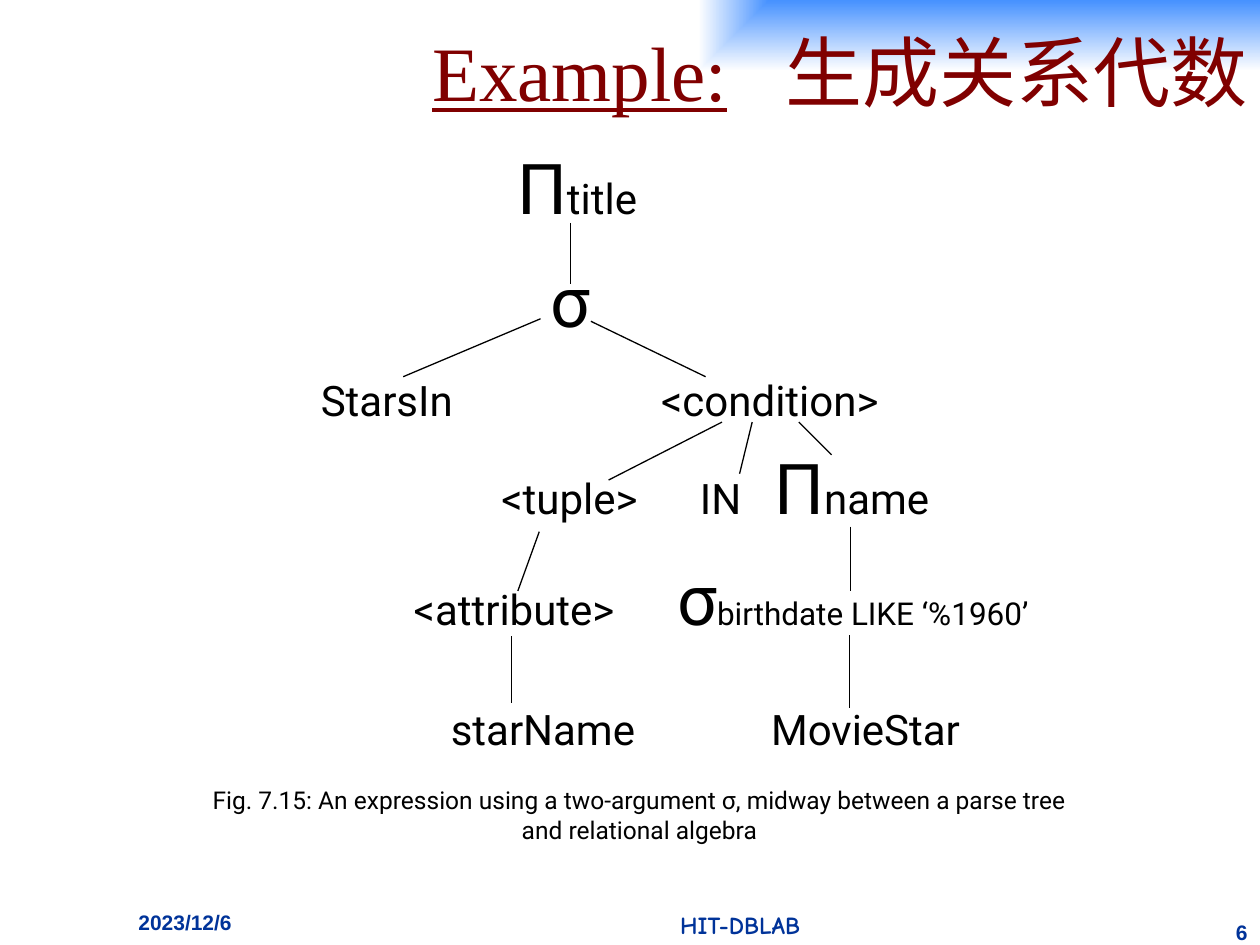
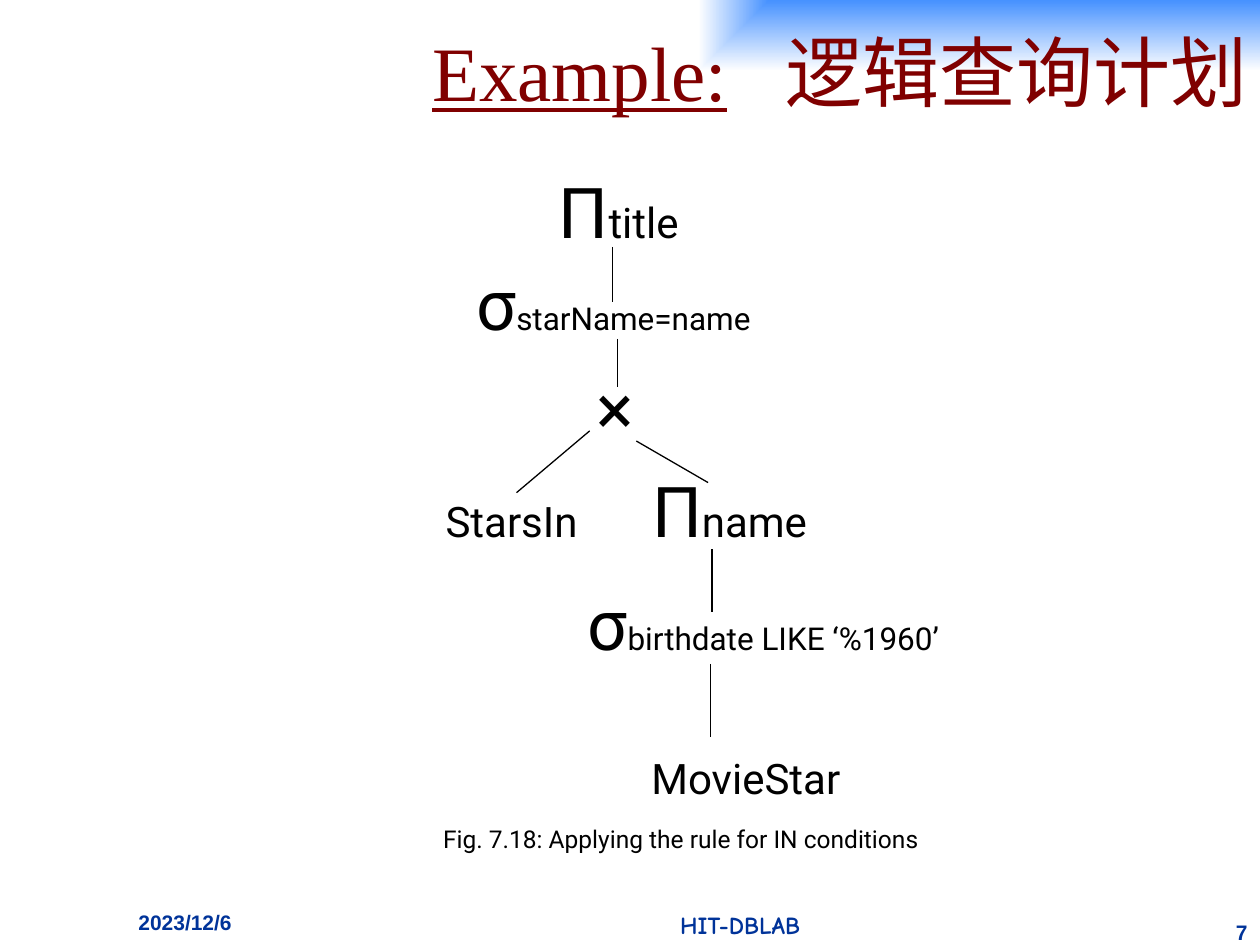
from dataclasses import dataclass

from lxml.etree import SubElement
from pptx import Presentation
from pptx.dml.color import RGBColor as Color
from pptx.enum.shapes import MSO_CONNECTOR as Link, MSO_SHAPE as Form
from pptx.enum.text import MSO_ANCHOR as Anchor, MSO_AUTO_SIZE as Fit, PP_ALIGN as Align
from pptx.oxml.ns import qn
from pptx.util import Inches, Pt


@dataclass(frozen=True)
class Theme:
    ink: Color = Color.from_string("000000")
    head: Color = Color.from_string("800000")
    foot: Color = Color.from_string("003399")
    sky: Color = Color.from_string("3F8DFF")
    paper: Color = Color.from_string("FFFFFF")
    body: str = "Roboto"
    serif: str = "Times New Roman"
    han: str = "Noto Sans CJK SC"
    sans: str = "Arial"
    comic: str = "Comic Neue"
    title: int = 44
    gap: int = 33
    sign: int = 40
    node: int = 24
    sub: int = 18
    note: int = 14
    small: int = 12
    rule: float = 0.75


T = Theme()
BAND = (1.08, -0.02, 8.92, 1.17)
TREE = (2, 1, 7, 5.25)
DATE = (1, 7.17, 1.75, 0.33)
LAB = (3.5, 7.17, 4.75, 0.33)
PAGE = (9.58, 7.25, 0.42, 0.25)


# Text helpers
def style(para, name, color, size=None, bold=None, align=Align.CENTER):
    para.alignment = align
    font = para.font
    font.name, font.color.rgb, font.bold = name, color, bold
    if size:
        font.size = Pt(size)


def text_box(slide, box, wrap=True):
    frame = slide.shapes.add_textbox(*map(Inches, box)).text_frame
    frame.word_wrap = wrap
    return frame


def label(slide, box, text, name, color, size, bold=None, align=Align.CENTER):
    frame = text_box(slide, box)
    para = frame.paragraphs[0]
    para.add_run().text = text
    style(para, name, color, size, bold, align)
    return frame


# Title on a band that fades from its top right corner
def title(slide, box, topic):
    band = slide.shapes.add_shape(Form.RECTANGLE, *map(Inches, box))
    band.shadow.inherit = False
    band.line.fill.background()
    band.fill.gradient()
    for stop, color, pos in zip(band.fill.gradient_stops, (T.sky, T.paper), (0, 1)):
        stop.color.rgb, stop.position = color, pos
    grad = band._element.spPr.find(qn("a:gradFill"))
    grad.remove(grad.find(qn("a:lin")))
    fade = SubElement(grad, qn("a:path"), path="rect")
    SubElement(fade, qn("a:fillToRect"), l="100000", b="100000")

    frame = band.text_frame
    frame.word_wrap = True
    frame.vertical_anchor = Anchor.MIDDLE
    para = frame.paragraphs[0]
    lead, gap, rest = (para.add_run() for _ in range(3))
    lead.text, gap.text, rest.text = "Example:", "　", topic
    style(para, T.serif, T.head, T.title, align=Align.RIGHT)
    lead.font.underline = True
    gap.font.size = Pt(T.gap)
    for run in (gap, rest):
        run.font.name = T.han
        SubElement(run.font._element, qn("a:ea"), typeface=T.han)


# Date, lab and page number
def footer(slide, page):
    label(slide, DATE, "2023/12/6", T.sans, T.foot, T.small, True, Align.LEFT)
    label(slide, LAB, "HIT-DBLAB", T.comic, T.foot, T.note, True)
    label(slide, PAGE, str(page), T.sans, T.foot, T.small, True, Align.RIGHT)


# One tree node, centred on a point: a word, or an operator with its subscript
def node(slide, x, y, width, parts):
    high = 0.77 if parts[0][1] == T.sign else 0.5
    frame = text_box(slide, (x - width / 2, y - high / 2, width, high), False)
    frame.auto_size = Fit.SHAPE_TO_FIT_TEXT
    frame.vertical_anchor = Anchor.MIDDLE
    para = frame.paragraphs[0]
    for text, size in parts:
        run = para.add_run()
        run.text, run.font.size = text, Pt(size)
    style(para, T.body, T.ink)


def edge(slide, ends):
    line = slide.shapes.add_connector(Link.STRAIGHT, *map(Inches, ends))
    line.line.color.rgb, line.line.width = T.ink, Pt(T.rule)
    SubElement(line._element.spPr, qn("a:effectLst"))


# Tree: nodes and edges are measured from the corner of the box
def tree(slide, box, nodes, edges):
    left, top = box[:2]
    for x, y, width, parts in nodes:
        node(slide, left + x, top + y, width, parts)
    for x1, y1, x2, y2 in edges:
        edge(slide, (left + x1, top + y1, left + x2, top + y2))


def caption(slide, box, text):
    frame = label(slide, box, text, T.body, T.ink, T.note)
    frame.vertical_anchor = Anchor.MIDDLE


def word(text):
    return [(text, T.node)]


def sign(mark, text="", size=T.node):
    return [(mark, T.sign)] + ([(text, size)] if text else [])


# Nodes found in both trees
TITLE = sign("Π", "title")
NAME = sign("Π", "name")
BIRTH = sign("σ", "birthdate LIKE ‘%1960’", T.sub)
STARS, MOVIE = word("StarsIn"), word("MovieStar")

PLANS = [
    dict(
        page=6,
        topic="生成关系代数",
        nodes=[
            (2.58, 0.48, 1.18, TITLE),
            (2.53, 1.38, 0.6, sign("σ")),
            (1.07, 2.17, 1.35, STARS),
            (4.11, 2.17, 2.1, word("<condition>")),
            (2.52, 2.95, 1.4, word("<tuple>")),
            (3.72, 2.95, 0.6, word("IN")),
            (4.76, 2.86, 1.48, NAME),
            (2.08, 3.83, 1.95, word("<attribute>")),
            (4.77, 3.74, 3.09, BIRTH),
            (2.31, 4.78, 1.8, word("starName")),
            (4.87, 4.78, 1.8, MOVIE),
        ],
        edges=[
            (2.53, 0.77, 2.53, 1.25),
            (2.29, 1.53, 1.2, 1.99),
            (2.69, 1.55, 3.6, 1.99),
            (3.73, 2.35, 2.83, 2.81),
            (3.97, 2.35, 3.87, 2.76),
            (4.34, 2.35, 4.6, 2.61),
            (2.28, 3.22, 2.11, 3.69),
            (2.06, 4.05, 2.06, 4.58),
            (4.75, 3.18, 4.75, 3.69),
            (4.74, 4.04, 4.74, 4.62),
        ],
        note=(1.47, 6.18, 7.21, 0.57),
        text="Fig. 7.15: An expression using a two-argument σ, "
        "midway between a parse tree and relational algebra",
    ),
    dict(
        page=7,
        topic="逻辑查询计划",
        nodes=[
            (2.91, 0.67, 1.18, TITLE),
            (2.87, 1.4, 2.39, sign("σ", "starName=name", T.sub)),
            (2.88, 2.23, 0.6, sign("×")),
            (2.06, 3.13, 1.35, STARS),
            (3.79, 3.04, 1.48, NAME),
            (4.06, 3.94, 3.09, BIRTH),
            (3.92, 5.17, 1.8, MOVIE),
        ],
        edges=[
            (2.86, 0.96, 2.86, 1.4),
            (2.9, 1.69, 2.9, 2.07),
            (2.68, 2.42, 2.1, 2.91),
            (3.05, 2.5, 3.62, 2.83),
            (3.65, 3.36, 3.65, 3.86),
            (3.64, 4.27, 3.64, 4.85),
        ],
        note=(1.8, 6.49, 7.21, 0.33),
        text="Fig. 7.18: Applying the rule for IN conditions",
    ),
]


def plan_slide(deck, plan):
    slide = deck.slides.add_slide(deck.slide_layouts[6])
    title(slide, BAND, plan["topic"])
    tree(slide, TREE, plan["nodes"], plan["edges"])
    caption(slide, plan["note"], plan["text"])
    footer(slide, plan["page"])


def main():
    deck = Presentation()
    deck.slide_width, deck.slide_height = Inches(10), Inches(7.5)
    for plan in PLANS:
        plan_slide(deck, plan)
    deck.save("out.pptx")


if __name__ == "__main__":
    main()
